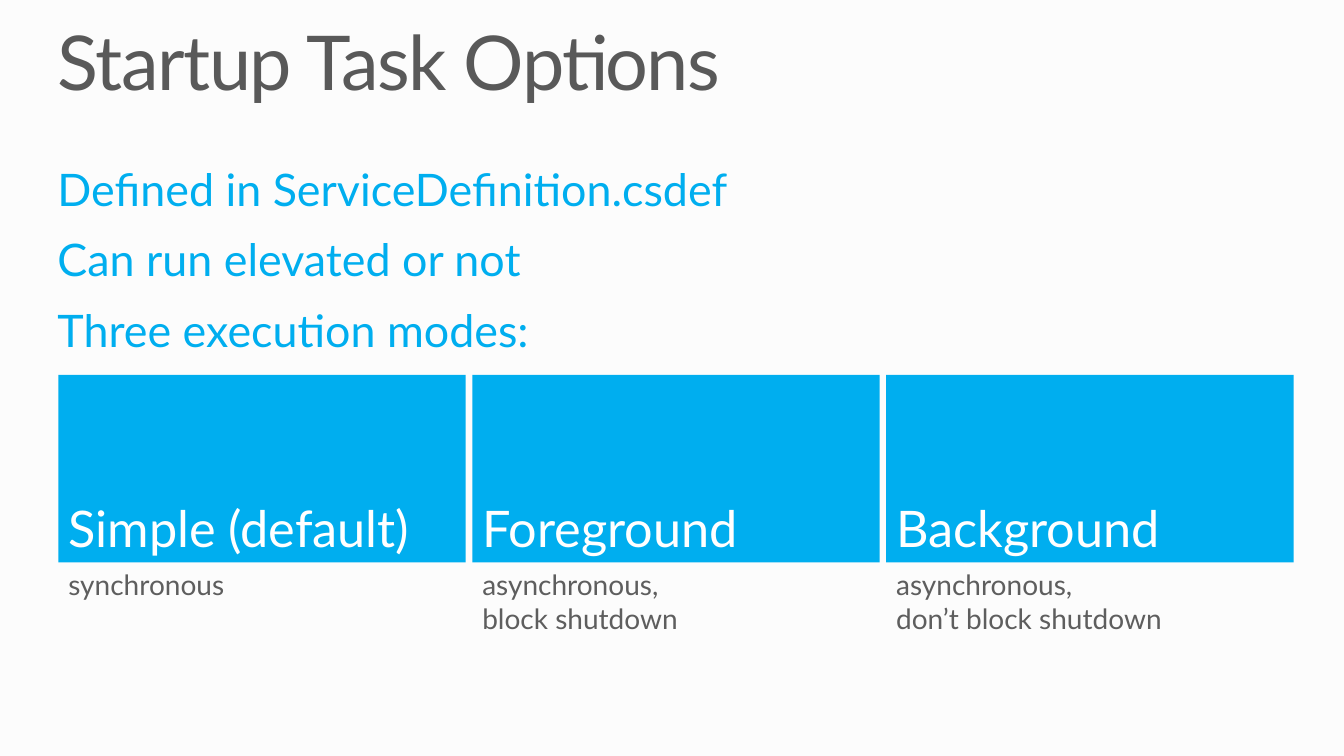
"""Build the Startup Task Options slide."""
from pptx import Presentation
from pptx.dml.color import RGBColor as RGB
from pptx.enum.shapes import MSO_SHAPE as Shape
from pptx.enum.text import MSO_ANCHOR as Anchor, MSO_AUTO_SIZE as Fit, PP_ALIGN as Align
from pptx.util import Inches, Pt

HUES = {"back": "FCFCFC", "title": "595959", "blue": "00AEEF", "white": "FFFFFF", "gray": "5E5E5E"}
POINTS = ["Defined in ServiceDefinition.csdef", "Can run elevated or not", "Three execution modes:"]
MODES = [
    ("Simple (default)", ["synchronous"]),
    ("Foreground", ["asynchronous,", "block shutdown"]),
    ("Background", ["asynchronous,", "don’t block shutdown"]),
]
LEFT, TOP, WIDE, HIGH, STEP = 0.58, 3.72, 4.04, 1.86, 4.105


def set_up(frame, side, edge, anchor=Anchor.TOP):
    frame.word_wrap = True
    frame.auto_size = Fit.NONE
    frame.vertical_anchor = anchor
    frame.margin_left = frame.margin_right = Inches(side)
    frame.margin_top = frame.margin_bottom = Inches(edge)


def add_run(para, text, size, hue):
    para.alignment = Align.LEFT
    run = para.add_run()
    run.text = text
    run.font.name = "Lato"
    run.font.size = Pt(size)
    run.font.color.rgb = RGB.from_string(HUES[hue])
    return run


deck = Presentation()
deck.slide_width, deck.slide_height = Inches(13.33), Inches(7.5)
slide = deck.slides.add_slide(deck.slide_layouts[5])
slide.background.fill.solid()
slide.background.fill.fore_color.rgb = RGB.from_string(HUES["back"])

title = slide.shapes.title
title.left, title.top = Inches(0.57), Inches(0.25)
title.width, title.height = Inches(12.19), Inches(0.82)
set_up(title.text_frame, 0, 0)
para = title.text_frame.paragraphs[0]
para.line_spacing = 0.9
run = add_run(para, "Startup Task Options", 54, "title")
run.font._element.set("spc", "-100")

body = slide.shapes.add_textbox(Inches(0.57), Inches(1.6), Inches(12.2), Inches(1.95))
set_up(body.text_frame, 0, 0)
for num, point in enumerate(POINTS):
    para = body.text_frame.add_paragraph() if num else body.text_frame.paragraphs[0]
    if num:
        para.space_before = Pt(12)
    add_run(para, point, 32, "blue")

for num, (mode, lines) in enumerate(MODES):
    left = Inches(LEFT + num * STEP)
    tile = slide.shapes.add_shape(Shape.RECTANGLE, left, Inches(TOP), Inches(WIDE), Inches(HIGH))
    tile.shadow.inherit = False
    tile.fill.solid()
    tile.fill.fore_color.rgb = RGB.from_string(HUES["blue"])
    tile.line.fill.background()
    set_up(tile.text_frame, 0.1, 0.05, Anchor.BOTTOM)
    add_run(tile.text_frame.paragraphs[0], mode, 36, "white")

    note = slide.shapes.add_textbox(left, Inches(TOP + HIGH), Inches(WIDE), Inches(0.35))
    set_up(note.text_frame, 0.1, 0.05)
    para = note.text_frame.paragraphs[0]
    for row, line in enumerate(lines):
        if row:
            para.add_line_break()
        add_run(para, line, 20, "gray")

deck.save("out.pptx")
